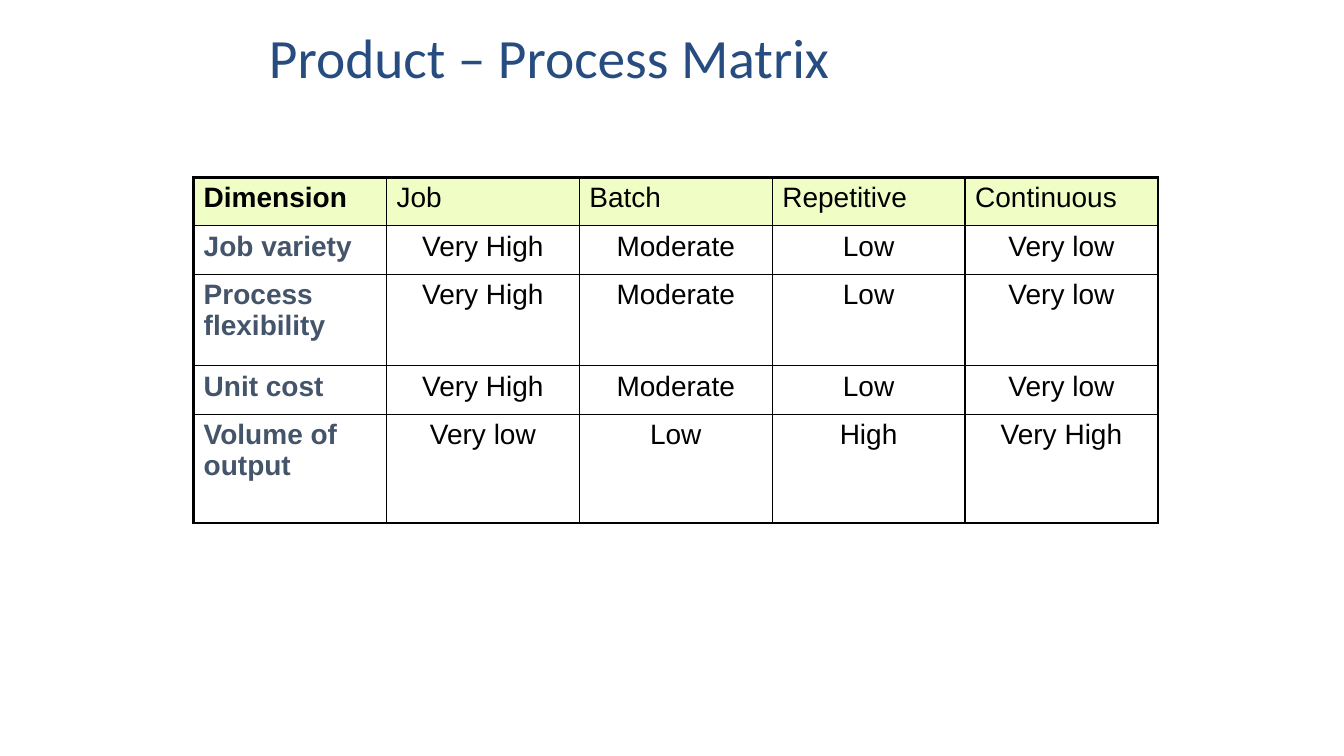
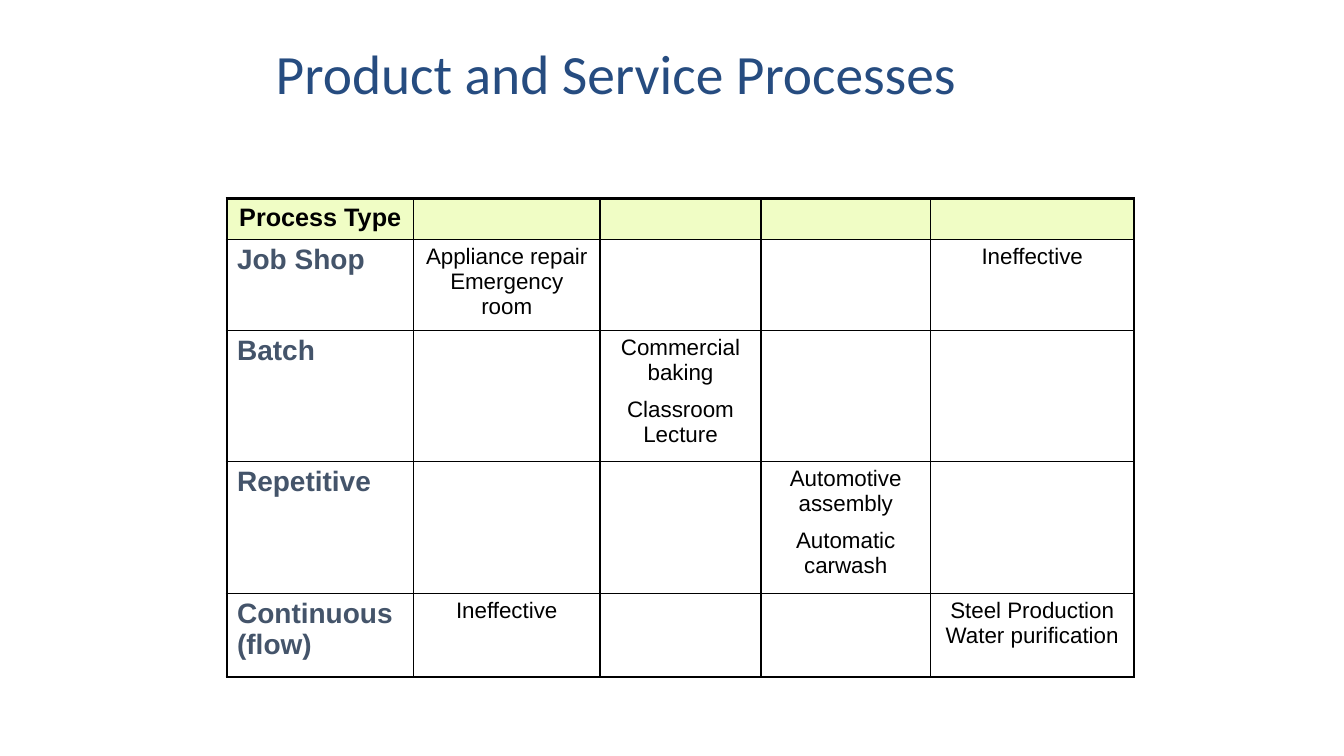
from lxml.etree import SubElement
from pptx import Presentation
from pptx.dml.color import RGBColor
from pptx.enum.text import MSO_ANCHOR, MSO_AUTO_SIZE, PP_ALIGN
from pptx.oxml.ns import qn
from pptx.util import Cm, Pt

NAVY = RGBColor(0x26, 0x4C, 0x80)
SLATE = RGBColor(0x44, 0x54, 0x6A)
BLACK = RGBColor(0, 0, 0)
LIME = RGBColor(0xF0, 0xFD, 0xC5)
THIN, THICK = Pt(1), Pt(2.25)
LEFT, MID = PP_ALIGN.LEFT, PP_ALIGN.CENTER

TITLE = dict(name="Calibri", size=Pt(39.6), color=NAVY)
LABEL = dict(name="Arial", size=Pt(20), color=SLATE, bold=True)
BODY = dict(name="Arial", color=BLACK, bold=False)

SLIDES = [
    dict(
        title="Product – Process Matrix",
        box=(6.38, 0.86, 21.56, 1.32),
        spot=(4.88, 4.47),
        cols=[4.86] * 5,
        rows=[1.22, 1.22, 2.31, 1.22, 2.74],
        sizes=(20, 20),  # header, body
        align=LEFT,
        cells=[
            ["Dimension", "Job", "Batch", "Repetitive", "Continuous"],
            ["Job variety", "Very High", "Moderate", "Low", "Very low"],
            ["Process flexibility", "Very High", "Moderate", "Low", "Very low"],
            ["Unit cost", "Very High", "Moderate", "Low", "Very low"],
            ["Volume of output", "Very low", "Low", "High", "Very High"],
        ],
    ),
    dict(
        title="Product and Service Processes",
        box=(6.55, 1.27, 21.51, 1.32),
        spot=(5.72, 5),
        cols=[4.7, 4.7, 4.06, 4.27, 5.13],
        rows=[1.02, 2.29, 3.3, 3.33, 2.11],
        sizes=(18, 16),
        align=MID,
        cells=[
            ["Process Type", "", "", "", ""],
            ["Job Shop", "Appliance repair\vEmergency room", "", "", "Ineffective"],
            ["Batch", "", "Commercial\vbaking\nClassroom\vLecture", "", ""],
            ["Repetitive", "", "", "Automotive\vassembly\nAutomatic\vcarwash", ""],
            ["Continuous\v(flow)", "Ineffective", "", "",
             "Steel Production\vWater purification"],
        ],
    ),
]


def style(font, look):
    for key, val in look.items():
        if key == "color":
            font.color.rgb = val
        else:
            setattr(font, key, val)


def write(frame, text, look, align):
    """Fill a frame; \\n starts a spaced paragraph, \\v breaks a line."""
    frame.text = text
    for num, para in enumerate(frame.paragraphs):
        para.alignment = align
        if num:
            para.space_before = Pt(8.6)
        for run in para.runs:
            style(run.font, look)


def border(cell, edges):
    """Draw the four sides; edges tells which ones lie on the table's rim."""
    props = cell._tc.get_or_add_tcPr()
    for side, rim in edges.items():
        line = SubElement(props, qn(f"a:ln{side}"), w=str(THICK if rim else THIN))
        SubElement(SubElement(line, qn("a:solidFill")), qn("a:srgbClr"), val=str(BLACK))


def add_title(slide, data):
    frame = slide.shapes.add_textbox(*map(Cm, data["box"])).text_frame
    look = dict(word_wrap=True, auto_size=MSO_AUTO_SIZE.NONE,
                vertical_anchor=MSO_ANCHOR.MIDDLE, margin_left=Cm(0.4))
    for key, val in look.items():
        setattr(frame, key, val)
    write(frame, data["title"], TITLE, LEFT)
    frame.paragraphs[0].line_spacing = 0.9


def add_grid(slide, data):
    cols, rows = data["cols"], data["rows"]
    area = (*data["spot"], sum(cols), sum(rows))
    grid = slide.shapes.add_table(len(rows), len(cols), *map(Cm, area)).table
    grid.first_row = grid.horz_banding = False
    for col, width in zip(grid.columns, cols):
        col.width = Cm(width)
    for row, height in zip(grid.rows, rows):
        row.height = Cm(height)

    head, body = map(Pt, data["sizes"])
    for r, line in enumerate(data["cells"]):
        for c, text in enumerate(line):
            cell = grid.cell(r, c)
            if r == 0:
                look, align = dict(BODY, size=head, bold=c == 0), data["align"]
            elif c == 0:
                look, align = LABEL, LEFT
            else:
                look, align = dict(BODY, size=body), MID
            write(cell.text_frame, text, look, align)
            border(cell, dict(L=c == 0, R=c == len(cols) - 1,
                              T=r == 0, B=r == len(rows) - 1))
            if r == 0:
                cell.fill.solid()
                cell.fill.fore_color.rgb = LIME
            else:
                cell.fill.background()


def main():
    deck = Presentation()
    deck.slide_width, deck.slide_height = Cm(33.87), Cm(19.05)
    for data in SLIDES:
        slide = deck.slides.add_slide(deck.slide_layouts[6])
        add_title(slide, data)
        add_grid(slide, data)
    deck.save("out.pptx")


if __name__ == "__main__":
    main()
